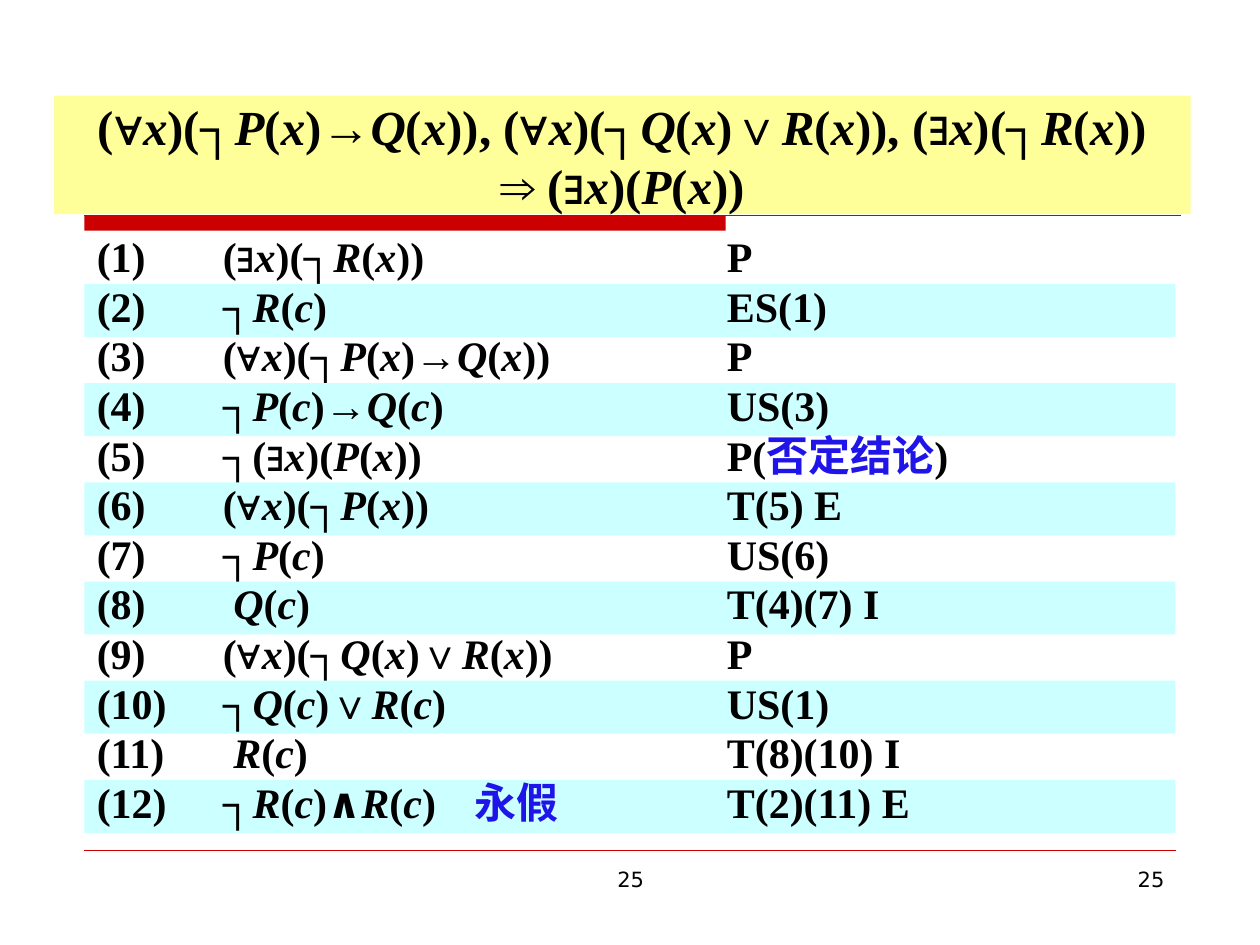
from itertools import groupby

from lxml.etree import SubElement
from pptx import Presentation
from pptx.dml.color import RGBColor
from pptx.enum.shapes import MSO_CONNECTOR as CONN, MSO_SHAPE as SHAPE
from pptx.enum.text import MSO_ANCHOR as ANCHOR, MSO_AUTO_SIZE as FIT, PP_ALIGN as ALIGN
from pptx.oxml.ns import qn
from pptx.util import Inches, Pt

COLORS = {"black": "000000", "blue": "1F15E9", "red": "CC0000",
          "title": "FFFF99", "band": "CCFFFF"}
SERIF, SANS, UI = "Times New Roman", "Arial", "DejaVu Sans"
SYMBOL_FONTS = {"∀": SANS, "∃": SANS, "→": SANS, "⇒": SANS, "∧": UI}

TITLE = ("(∀x)(┐P(x)→Q(x)), (∀x)(┐Q(x)∨R(x)), (∃x)(┐R(x))", "⇒ (∃x)(P(x))")
# Formula, remark, reason
STEPS = [
    ("(∃x)(┐R(x))", "", "P"),
    ("┐R(c)", "", "ES(1)"),
    ("(∀x)(┐P(x)→Q(x))", "", "P"),
    ("┐P(c)→Q(c)", "", "US(3)"),
    ("┐(∃x)(P(x))", "", "P(否定结论)"),
    ("(∀x)(┐P(x))", "", "T(5) E"),
    ("┐P(c)", "", "US(6)"),
    (" Q(c)", "", "T(4)(7) I"),
    ("(∀x)(┐Q(x)∨R(x))", "", "P"),
    ("┐Q(c)∨R(c)", "", "US(1)"),
    (" R(c)", "", "T(8)(10) I"),
    ("┐R(c)∧R(c)", "永假", "T(2)(11) E"),
]
LEFT, WIDTH, ROW_HEIGHT = 0.67, 8.66, 0.42
FIRST_TOP, LAST_TOP = 1.86, 6.19


def rgb(name):
    return RGBColor.from_string(COLORS[name])


def add_text(p, text, size=24, font=SERIF, bold=True, math=False):
    """Add runs: Chinese in blue, and in math letters italic and symbols in their own font."""
    def look(ch):
        return (SYMBOL_FONTS.get(ch, font), math and ch in "xcPQR",
                "blue" if "一" <= ch <= "龥" else "black")

    for (face, italic, color), chars in groupby(text, look):
        r = p.add_run()
        r.text = "".join(chars)
        r.font.size, r.font.name = Pt(size), face
        r.font.bold, r.font.italic = bold, italic
        r.font.color.rgb = rgb(color)


class Deck:
    def __init__(self):
        self.prs = Presentation()
        self.prs.slide_width, self.prs.slide_height = Inches(10), Inches(7.5)
        self.s = self.prs.slides.add_slide(self.prs.slide_layouts[6])

    def box(self, x, y, w, h, fill=None):
        """Filled rectangle, or a text box when there is no fill."""
        area = [Inches(v) for v in (x, y, w, h)]
        if fill:
            sp = self.s.shapes.add_shape(SHAPE.RECTANGLE, *area)
            sp.shadow.inherit = False
            sp.fill.solid()
            sp.fill.fore_color.rgb = rgb(fill)
            sp.line.fill.background()
        else:
            sp = self.s.shapes.add_textbox(*area)
        tf = sp.text_frame
        tf.word_wrap, tf.vertical_anchor = True, ANCHOR.TOP
        tf.paragraphs[0].alignment = ALIGN.LEFT
        return sp

    def rule(self, x1, x2, y, width):
        line = self.s.shapes.add_connector(
            CONN.STRAIGHT, Inches(x1), Inches(y), Inches(x2), Inches(y))
        line.line.color.rgb, line.line.width = rgb("red"), Pt(width)
        SubElement(line._element.spPr, qn("a:effectLst"))

    def title(self, lines):
        tf = self.box(0.43, 0.76, 9.02, 0.94, "title").text_frame
        tf.margin_top = tf.margin_bottom = 0
        tf.vertical_anchor = ANCHOR.BOTTOM
        p = tf.paragraphs[0]
        p.alignment = ALIGN.CENTER
        for i, line in enumerate(lines):
            if i:
                p.add_line_break()
            add_text(p, line, size=28, math=True)

    def step(self, number, y, formula, remark, reason):
        fill = "band" if number % 2 == 0 else None
        tf = self.box(LEFT, y, WIDTH, ROW_HEIGHT, fill).text_frame
        tf.auto_size = FIT.SHAPE_TO_FIT_TEXT
        p = tf.paragraphs[0]
        p.line_spacing = 0.8
        tabs = SubElement(p._p.get_or_add_pPr(), qn("a:tabLst"))
        for stop in (1, 3, 5) if remark else (1, 5):
            SubElement(tabs, qn("a:tab"), pos=str(Inches(stop)), algn="l")
        add_text(p, f"({number})\t")
        add_text(p, formula, math=True)
        if remark:
            add_text(p, "\t" + remark)
        add_text(p, "\t" + reason)

    def page_number(self, x, w, align):
        p = self.box(x, 6.83, w, 0.52).text_frame.paragraphs[0]
        p.alignment = align
        add_text(p, "25", size=12, font=UI, bold=False)


def main():
    deck = Deck()

    # Red bar and rules
    deck.box(LEFT, 1.71, 5.09, 0.12, "red")
    deck.rule(LEFT, 9.37, 1.71, 0.75)
    deck.rule(LEFT, LEFT + WIDTH, 6.75, 0.25)

    # Page numbers
    deck.page_number(3.42, 3.17, ALIGN.CENTER)
    deck.page_number(7.17, 2.17, ALIGN.RIGHT)

    # Theorem and proof steps
    deck.title(TITLE)
    pitch = (LAST_TOP - FIRST_TOP) / (len(STEPS) - 1)
    for i, parts in enumerate(STEPS):
        deck.step(i + 1, FIRST_TOP + i * pitch, *parts)

    deck.prs.save("out.pptx")


if __name__ == "__main__":
    main()
